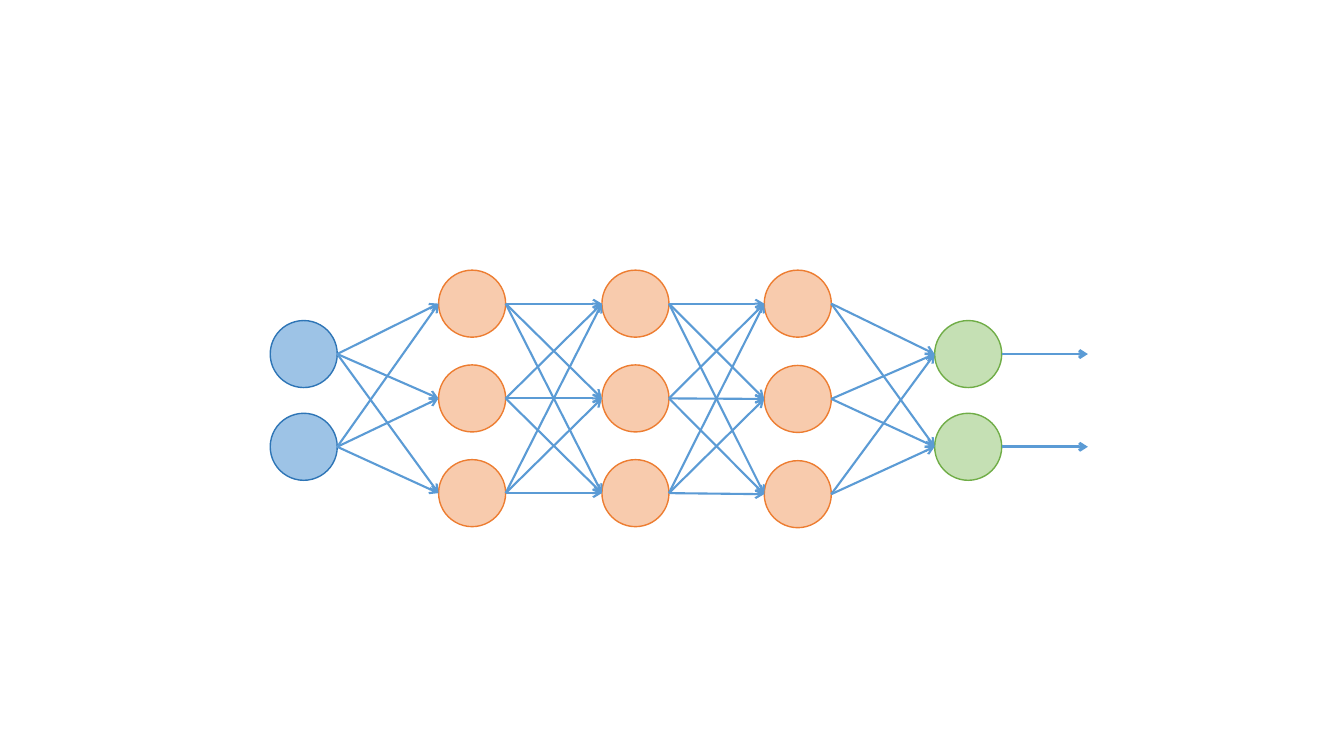
from itertools import pairwise, product

from lxml import etree
from pptx import Presentation
from pptx.dml.color import RGBColor
from pptx.enum.shapes import MSO_CONNECTOR, MSO_SHAPE
from pptx.oxml.ns import qn
from pptx.util import Inches, Pt

OVAL = MSO_SHAPE.OVAL
STRAIGHT = MSO_CONNECTOR.STRAIGHT

BLUE, NAVY = RGBColor(0x9D, 0xC3, 0xE6), RGBColor(0x2E, 0x75, 0xB6)
PEACH, ORANGE = RGBColor(0xF8, 0xCB, 0xAD), RGBColor(0xED, 0x7D, 0x31)
MINT, GREEN = RGBColor(0xC5, 0xE0, 0xB4), RGBColor(0x70, 0xAD, 0x47)
ARROW = RGBColor(0x5B, 0x9B, 0xD5)

# Each layer: left, top of first node, step down, node count, fill, line
LAYERS = [
    (2.68, 3.18, 0.92, 2, BLUE, NAVY),
    (4.35, 2.68, 0.94, 3, PEACH, ORANGE),
    (5.97, 2.68, 0.94, 3, PEACH, ORANGE),
    (7.58, 2.68, 0.945, 3, PEACH, ORANGE),
    (9.27, 3.18, 0.92, 2, MINT, GREEN),
]
SIZE = 0.665
OUT_END = 10.79


def add_node(slide, left, top, fill, line):
    node = slide.shapes.add_shape(
        OVAL, Inches(left), Inches(top), Inches(SIZE), Inches(SIZE))
    node.shadow.inherit = False
    node.fill.solid()
    node.fill.fore_color.rgb = fill
    node.line.color.rgb = line
    node.line.width = Pt(1)


def add_arrow(slide, start, end, width):
    link = slide.shapes.add_connector(
        STRAIGHT, *(Inches(v) for v in (*start, *end)))
    link.line.color.rgb = ARROW
    link.line.width = Pt(width)
    etree.SubElement(link.line._get_or_add_ln(), qn("a:tailEnd"), type="arrow")
    etree.SubElement(link._element.spPr, qn("a:effectLst"))


def main():
    prs = Presentation()
    prs.slide_width, prs.slide_height = Inches(13.33), Inches(7.5)
    slide = prs.slides.add_slide(prs.slide_layouts[6])

    ports = []  # left-edge midpoints of the nodes, layer by layer
    for left, top, step, count, fill, line in LAYERS:
        tops = [top + step * i for i in range(count)]
        for y in tops:
            add_node(slide, left, y, fill, line)
        ports.append([(left, y + SIZE / 2) for y in tops])

    for layer, after in pairwise(ports):
        for (x, y), end in product(layer, after):
            add_arrow(slide, (x + SIZE, y), end, 1.5)
    for x, y in ports[-1]:
        add_arrow(slide, (x + SIZE, y), (OUT_END, y), 2)

    prs.save("out.pptx")


if __name__ == "__main__":
    main()
